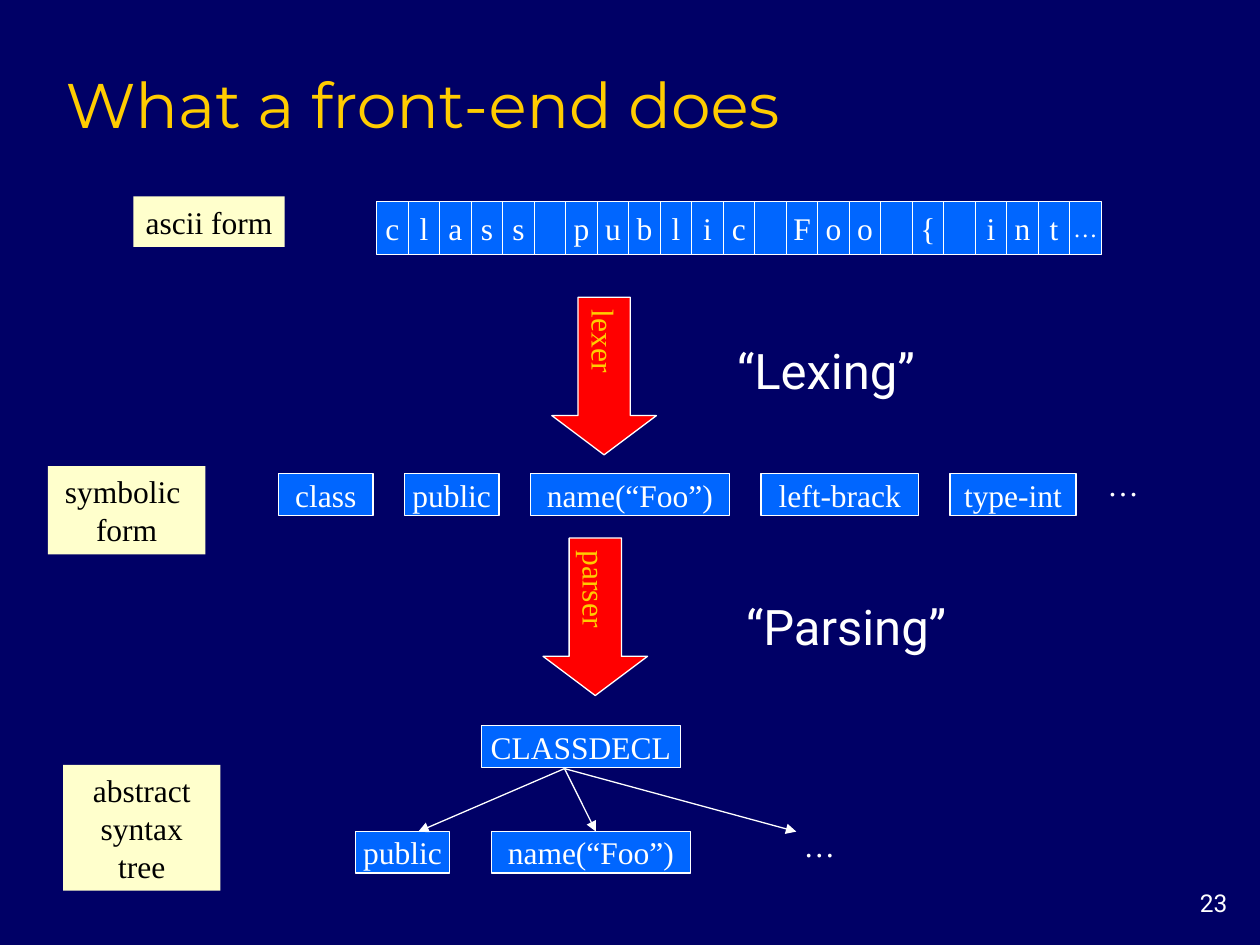
from pptx import Presentation
from pptx.dml.color import RGBColor
from pptx.enum.shapes import MSO_CONNECTOR, MSO_SHAPE
from pptx.enum.text import MSO_ANCHOR, MSO_AUTO_SIZE, PP_ALIGN
from pptx.oxml.ns import qn
from pptx.util import Inches, Pt
from lxml import etree

NAVY = RGBColor(0x00, 0x00, 0x66)
BLUE = RGBColor(0x00, 0x66, 0xFF)
RED = RGBColor(0xFF, 0x00, 0x00)
GOLD = RGBColor(0xFF, 0xCC, 0x00)
CREAM = RGBColor(0xFF, 0xFF, 0xCC)
WHITE = RGBColor(0xFF, 0xFF, 0xFF)
BLACK = RGBColor(0x00, 0x00, 0x00)

RECTANGLE, DOWN_ARROW = MSO_SHAPE.RECTANGLE, MSO_SHAPE.DOWN_ARROW
LEFT, CENTER, RIGHT = PP_ALIGN.LEFT, PP_ALIGN.CENTER, PP_ALIGN.RIGHT
TOP, MIDDLE, BOTTOM = MSO_ANCHOR.TOP, MSO_ANCHOR.MIDDLE, MSO_ANCHOR.BOTTOM
SERIF, SANS, DISPLAY = "Times New Roman", "Roboto", "Montserrat"

# Content; every position and size is in inches
TITLE = "What a front-end does"
PAGE_NUMBER = "23"
SOURCE_CODE = "class public Foo { int…"
TOKENS = [("class", 0.75), ("public", 0.75), ("name(“Foo”)", 1.58),
          ("left-brack", 1.25), ("type-int", 1)]
STAGES = [  # form, box
    ("ascii form", (1.06, 1.56, 1.2, 0.4)),
    ("symbolic \nform", (0.38, 3.7, 1.25, 0.7)),
    ("abstract\nsyntax\ntree", (0.5, 6.07, 1.25, 1)),
]
STEPS = [  # tool, arrow left and top, activity, box
    ("lexer", (4.38, 2.36), "“Lexing”", (5.67, 2.65, 1.77, 0.57)),
    ("parser", (4.31, 4.27), "“Parsing”", (5.74, 4.68, 1.95, 0.57)),
]
TREE_NODES = [("CLASSDECL", 3.82, 5.76, 1.58), ("public", 2.82, 6.6, 0.75),
              ("name(“Foo”)", 3.9, 6.6, 1.58)]
TREE_ROOT = (4.48, 6.1)
TREE_LEAVES = [(3.32, 6.6), (4.73, 6.6), (6.32, 6.6)]
ELLIPSIS = "…"

CELL_WIDTH, CELL_HEIGHT = 0.25, 0.42
CODE_LEFT, CODE_TOP = 2.99, 1.6
TOKEN_LEFT, TOKEN_TOP, TOKEN_GAP = 2.21, 3.76, 0.25
NODE_HEIGHT = 0.33
ARROW_SIZE = (0.83, 1.25)


def write(shape, text, color, size=18, font=SERIF, align=CENTER,
          anchor=MIDDLE, wrap=False):
    frame = shape.text_frame
    frame.text = text
    frame.word_wrap = wrap
    frame.vertical_anchor = anchor
    for paragraph in frame.paragraphs:
        paragraph.alignment = align
        for run in paragraph.runs:
            run.font.name, run.font.size = font, Pt(size)
            run.font.color.rgb = color
    return frame


def add_filled(shapes, preset, box, fill, outlined=True):
    shape = shapes.add_shape(preset, *map(Inches, box))
    shape.shadow.inherit = False
    shape.fill.solid()
    shape.fill.fore_color.rgb = fill
    if outlined:
        shape.line.color.rgb = WHITE
        shape.line.width = Pt(0.75)
    else:
        shape.line.fill.background()
    return shape


def add_node(shapes, text, box, size=18):
    node = add_filled(shapes, RECTANGLE, box, BLUE)
    if text.strip():
        write(node, text, WHITE, size)


def add_label(shapes, text, box, **style):
    label = shapes.add_textbox(*map(Inches, box))
    return write(label, text, WHITE, **style)


def add_ellipsis(shapes, left, top):
    add_label(shapes, ELLIPSIS, (left, top, 0.45, 0.4), align=LEFT, anchor=TOP)


def add_branch(shapes, start, end):
    branch = shapes.add_connector(MSO_CONNECTOR.STRAIGHT,
                                  *map(Inches, start + end))
    branch.line.color.rgb = WHITE
    branch.line.width = Pt(0.75)
    etree.SubElement(branch.line._get_or_add_ln(), qn("a:tailEnd"),
                     type="triangle")
    etree.SubElement(branch.element.spPr, qn("a:effectLst"))


def add_source_code(shapes):
    cells = shapes.add_group_shape().shapes
    for column, character in enumerate(SOURCE_CODE):
        box = (CODE_LEFT + column * CELL_WIDTH, CODE_TOP,
               CELL_WIDTH, CELL_HEIGHT)
        add_node(cells, character, box, 14 if character == ELLIPSIS else 18)


def add_tokens(shapes):
    left = TOKEN_LEFT
    for token, width in TOKENS:
        add_node(shapes, token, (left, TOKEN_TOP, width, NODE_HEIGHT))
        left += width + TOKEN_GAP
    add_ellipsis(shapes, 8.69, 3.64)


def add_tree(shapes):
    tree = shapes.add_group_shape().shapes
    for name, left, top, width in TREE_NODES:
        add_node(tree, name, (left, top, width, NODE_HEIGHT))
    for leaf in TREE_LEAVES:
        add_branch(tree, TREE_ROOT, leaf)
    add_ellipsis(tree, 6.28, 6.51)


def add_step(shapes, tool, corner, activity, activity_box):
    arrow = add_filled(shapes, DOWN_ARROW, corner + ARROW_SIZE, RED)
    arrow.adjustments[0], arrow.adjustments[1] = 0.5, 0.375
    frame = write(arrow, tool, GOLD)
    frame.margin_left = frame.margin_right = Inches(0.05)
    frame.margin_top = frame.margin_bottom = Inches(0.1)
    arrow.element.txBody.bodyPr.set("vert", "eaVert")
    add_label(shapes, activity, activity_box, size=28, font=SANS)


def main():
    deck = Presentation()
    deck.slide_width, deck.slide_height = Inches(10), Inches(7.5)
    slide = deck.slides.add_slide(deck.slide_layouts[5])
    slide.background.fill.solid()
    slide.background.fill.fore_color.rgb = NAVY
    shapes = slide.shapes

    title = shapes.title
    title.left, title.top, title.width, title.height = map(
        Inches, (0.42, 0.42, 8.5, 0.75))
    frame = write(title, TITLE, GOLD, 36, DISPLAY, LEFT, BOTTOM, wrap=True)
    frame.auto_size = MSO_AUTO_SIZE.NONE

    add_source_code(shapes)
    add_tokens(shapes)
    add_tree(shapes)
    for step in STEPS:
        add_step(shapes, *step)
    for form, box in STAGES:
        stage = add_filled(shapes, RECTANGLE, box, CREAM, outlined=False)
        write(stage, form, BLACK, anchor=TOP, wrap="\n" in form)
    add_label(shapes, PAGE_NUMBER, (9.17, 7, 0.67, 0.33), size=14, font=SANS,
              align=RIGHT, anchor=TOP, wrap=True)

    deck.save("out.pptx")


if __name__ == "__main__":
    main()
